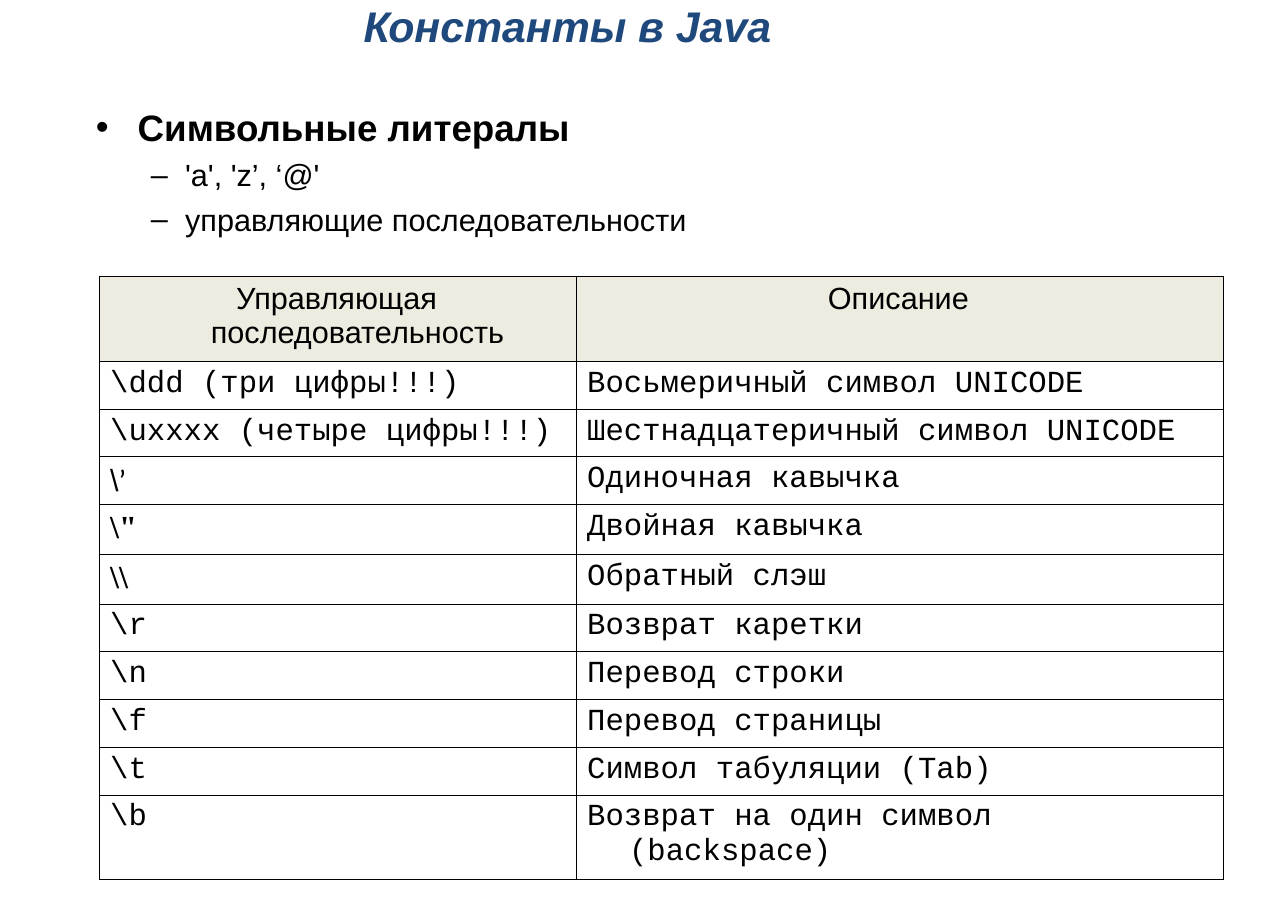
"""Build the slide on character literals and escape sequences in Java."""
from lxml.etree import SubElement
from pptx import Presentation
from pptx.dml.color import RGBColor
from pptx.enum.text import MSO_ANCHOR, PP_ALIGN
from pptx.oxml import parse_xml
from pptx.oxml.ns import nsdecls, qn
from pptx.util import Inches, Pt

NAVY = RGBColor(0x1F, 0x49, 0x7D)
BLACK = RGBColor(0, 0, 0)
WHITE = RGBColor(0xFF, 0xFF, 0xFF)
BEIGE = RGBColor(0xEE, 0xEC, 0xE1)
MONO = "Courier New"


def add_text(paragraph, text, font="Arial", size=20, bold=False, color=BLACK):
    run = paragraph.add_run()
    run.text = text
    run.font.name = font
    run.font.size = Pt(size)
    run.font.bold = bold
    run.font.color.rgb = color
    return run


def add_frame(slide, left, top, width, height):
    frame = slide.shapes.add_textbox(
        Inches(left), Inches(top), Inches(width), Inches(height)).text_frame
    frame.word_wrap = True
    frame.vertical_anchor = MSO_ANCHOR.TOP
    frame.margin_left = frame.margin_right = 0
    frame.margin_top = frame.margin_bottom = 0
    return frame


presentation = Presentation()
presentation.slide_width = Inches(11.69)
presentation.slide_height = Inches(8.28)
slide = presentation.slides.add_slide(presentation.slide_layouts[6])

title = add_frame(slide, 0.18, 0, 9.94, 0.64).paragraphs[0]
title.alignment = PP_ALIGN.CENTER
add_text(title, "Константы в Java", size=28, bold=True, color=NAVY).font.italic = True

outline = add_frame(slide, 0.87, 0.95, 10.11, 1.25)
outline_items = [
    ("Символьные литералы", 0, "•", 0.38, -0.38, 24),
    ("'a', 'z’, ‘@'", 1, "–", 0.81, -0.31, 20),
    ("управляющие последовательности", 1, "–", 0.81, -0.31, 20),
]
for index, (text, level, bullet, margin, indent, size) in enumerate(outline_items):
    item = outline.add_paragraph() if index else outline.paragraphs[0]
    item.level = level
    properties = item._p.get_or_add_pPr()
    properties.set("marL", str(Inches(margin)))
    properties.set("indent", str(Inches(indent)))
    SubElement(properties, qn("a:buFont"), typeface="Arial")
    SubElement(properties, qn("a:buChar"), char=bullet)
    if index:
        item.space_before = Pt(5)
    add_text(item, text, size=size, bold=level == 0)

escapes = [
    ([("Управляющая последовательность", "Arial")], "Описание"),
    ([(r"\ddd (три цифры!!!)", MONO)], "Восьмеричный символ UNICODE"),
    ([(r"\uxxxx (четыре цифры!!!)", MONO)], "Шестнадцатеричный символ UNICODE"),
    ([("\\", "Arial"), ("’", "Calibri")], "Одиночная кавычка"),
    ([('\\"', "Times New Roman")], "Двойная кавычка"),
    ([("\\\\", "Times New Roman")], "Обратный слэш"),
    ([(r"\r", MONO)], "Возврат каретки"),
    ([(r"\n", MONO)], "Перевод строки"),
    ([(r"\f", MONO)], "Перевод страницы"),
    ([(r"\t", MONO)], "Символ табуляции (Tab)"),
    ([(r"\b", MONO)], "Возврат на один символ (backspace)"),
]
row_heights = [0.77] + [0.43] * 3 + [0.45] * 2 + [0.43] * 4 + [0.77]
table = slide.shapes.add_table(
    len(escapes), 2, Inches(0.9), Inches(2.51),
    Inches(10.2), Inches(sum(row_heights))).table
table.first_row = False
table.horz_banding = False
for column, width in zip(table.columns, (4.33, 5.87)):
    column.width = Inches(width)

for row_index, (sequence, description) in enumerate(escapes):
    is_header = row_index == 0
    row = table.rows[row_index]
    row.height = Inches(row_heights[row_index])
    description_runs = [(description, "Arial" if is_header else MONO)]
    for cell, runs in zip(row.cells, (sequence, description_runs)):
        cell.margin_right = Inches(0.12)
        cell.fill.solid()
        cell.fill.fore_color.rgb = BEIGE if is_header else WHITE
        for position, side in enumerate(("lnL", "lnR", "lnT", "lnB")):
            cell._tc.get_or_add_tcPr().insert(position, parse_xml(
                f'<a:{side} {nsdecls("a")} w="{Pt(0.45)}"><a:solidFill>'
                f'<a:srgbClr val="{BLACK}"/></a:solidFill></a:{side}>'))
        paragraph = cell.text_frame.paragraphs[0]
        paragraph.alignment = PP_ALIGN.CENTER if is_header else PP_ALIGN.LEFT
        properties = paragraph._p.get_or_add_pPr()
        properties.set("marL", str(Inches(0.38)))
        properties.set("indent", str(Inches(-0.38)))
        for text, font in runs:
            is_serif = font == "Times New Roman"
            add_text(paragraph, text, font, 21 if is_serif else 20, is_serif)

presentation.save("out.pptx")
